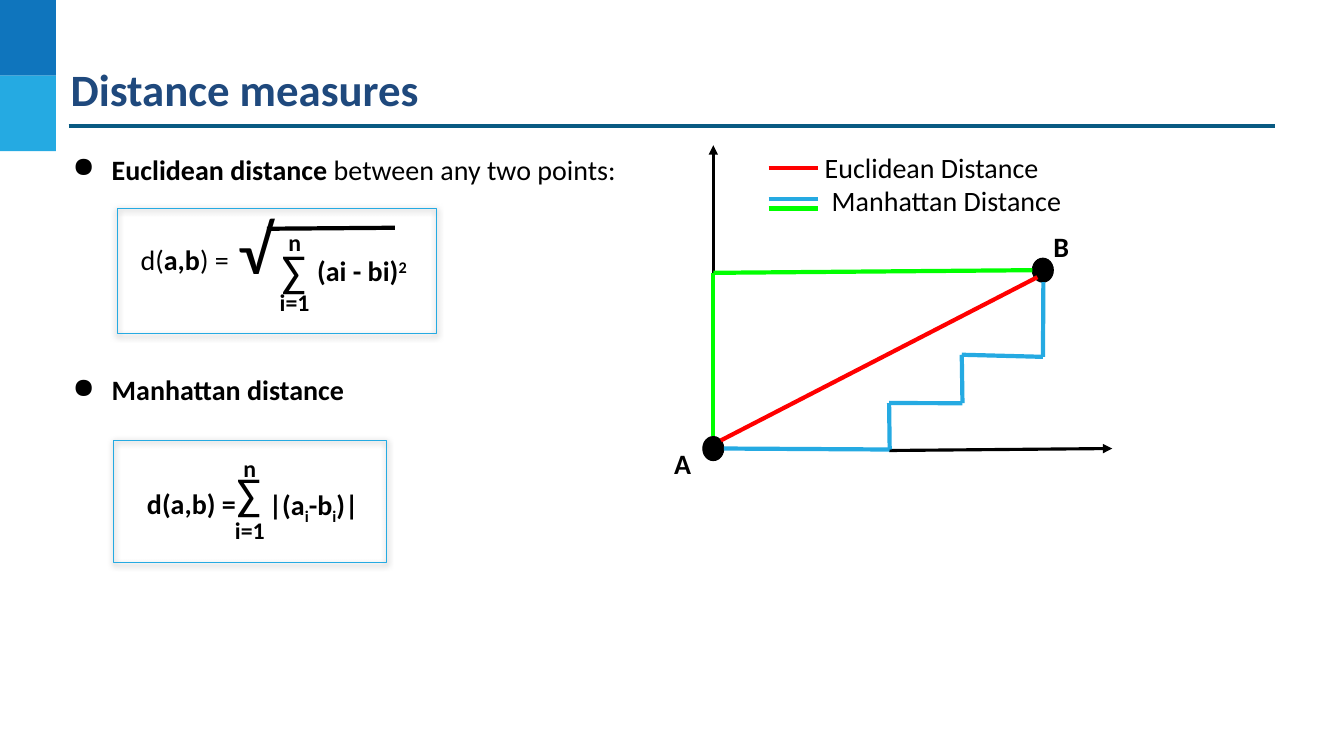
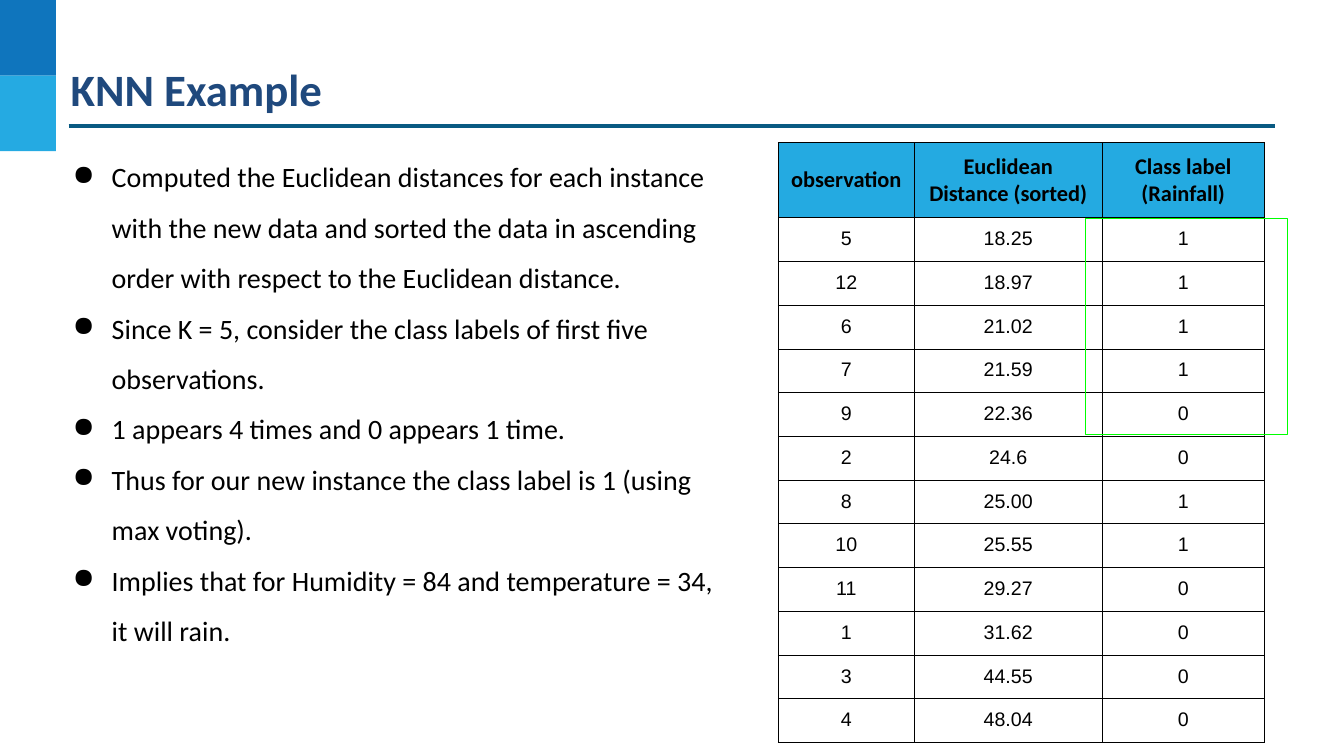
from lxml import etree
from pptx import Presentation
from pptx.dml.color import RGBColor
from pptx.enum.shapes import MSO_CONNECTOR, MSO_SHAPE
from pptx.enum.text import MSO_ANCHOR, PP_ALIGN
from pptx.oxml.ns import qn
from pptx.util import Pt

RECT, OVAL = MSO_SHAPE.RECTANGLE, MSO_SHAPE.OVAL
STRAIGHT = MSO_CONNECTOR.STRAIGHT
LEFT, CENTER = PP_ALIGN.LEFT, PP_ALIGN.CENTER
MIDDLE, TOP = MSO_ANCHOR.MIDDLE, MSO_ANCHOR.TOP

BLACK = RGBColor(0x00, 0x00, 0x00)
NAVY = RGBColor(0x1F, 0x49, 0x7D)
BLUE = RGBColor(0x0F, 0x75, 0xBD)
SKY = RGBColor(0x25, 0xAA, 0xE2)
HEAD = RGBColor(0x24, 0xAA, 0xE1)
TEAL = RGBColor(0x09, 0x5A, 0x82)
RED = RGBColor(0xFF, 0x00, 0x00)
GREEN = RGBColor(0x00, 0xFF, 0x00)

INSET = 7.2
LABEL = 39  # height of a one-line label
ROWS = [
    ("5", "18.25", "1"), ("12", "18.97", "1"), ("6", "21.02", "1"),
    ("7", "21.59", "1"), ("9", "22.36", "0"), ("2", "24.6", "0"),
    ("8", "25.00", "1"), ("10", "25.55", "1"), ("11", "29.27", "0"),
    ("1", "31.62", "0"), ("3", "44.55", "0"), ("4", "48.04", "0"),
]


# Basic parts
def sub(node, tag, **attrs):
    return etree.SubElement(node, qn(tag), attrs)


def shape(slide, kind, box, fill=None, line=None):
    item = slide.shapes.add_shape(kind, *map(Pt, box))
    item.shadow.inherit = False
    if fill is None:
        item.fill.background()
    else:
        item.fill.solid()
        item.fill.fore_color.rgb = fill
    if line is None:
        item.line.fill.background()
    else:
        item.line.color.rgb = line
        item.line.width = Pt(0.75)
    return item


def line(slide, start, end, color, width=3, arrow=False):
    item = slide.shapes.add_connector(STRAIGHT, *map(Pt, (*start, *end)))
    item.line.color.rgb = color
    item.line.width = Pt(width)
    if arrow:
        sub(item.line._get_or_add_ln(), "a:tailEnd", type="triangle")
    sub(item._element.spPr, "a:effectLst")
    return item


def write(para, runs, size, color=BLACK, font="Calibri"):
    """Each run is (text, bold) or (text, bold, baseline in percent)."""
    for words, bold, *base in runs:
        run = para.add_run()
        run.text = words
        run.font.name = font
        run.font.size = Pt(size)
        run.font.bold = bold
        run.font.color.rgb = color
        if base:
            run.font._element.set("baseline", str(base[0] * 1000))


def margins(item, inset):
    item.margin_left = item.margin_right = Pt(inset)
    item.margin_top = item.margin_bottom = Pt(inset)


def text(slide, box, paras, size=20, color=BLACK, align=LEFT,
         inset=INSET, space=None):
    frame = slide.shapes.add_textbox(*map(Pt, box)).text_frame
    frame.word_wrap = True
    margins(frame, inset)
    for i, runs in enumerate(paras):
        para = frame.add_paragraph() if i else frame.paragraphs[0]
        para.alignment = align
        para.line_spacing = space
        write(para, runs, size, color)
    return frame


def bullets(slide, box, paras, space, gap=0):
    frame = text(slide, box, paras, space=space)
    for i, para in enumerate(frame.paragraphs):
        para.space_before = Pt(gap if i else 0)
        props = para._p.get_or_add_pPr()
        props.set("marL", str(Pt(36)))
        props.set("indent", str(Pt(-28)))
        tint = sub(props, "a:buClr")
        sub(tint, "a:srgbClr", val=str(BLACK))
        sub(props, "a:buChar", char="●")


# Shared page: corner bands, rule and title
def page(deck, title):
    slide = deck.slides.add_slide(deck.slide_layouts[6])
    for i, color in enumerate((BLUE, SKY)):
        shape(slide, RECT, (0, i * 54, 40, 54), color)
    line(slide, (49, 90), (911, 90), TEAL, 2.25)
    text(slide, (49, 42.5, 885, 60), [[(title, True)]], 32, NAVY, inset=1.4)
    return slide


# Formulas
def panel(slide, box):
    item = shape(slide, RECT, box, line=SKY)
    effects = item._element.spPr.find(qn("a:effectLst"))
    shade = sub(effects, "a:outerShdw", blurRad=str(Pt(4.5)),
                dist=str(Pt(1.5)), dir="5400000", algn="bl",
                rotWithShape="0")
    tint = sub(shade, "a:srgbClr", val=str(BLACK))
    sub(tint, "a:alpha", val="49000")


def total(slide, x, y, above, below):
    for sign, shift in (("n", -above), ("i=1", below)):
        text(slide, (x - 3, y + shift, 39, 35), [[(sign, True)]], 17,
             align=CENTER)
    text(slide, (x, y, 35, 53), [[("∑", False)]], 32)


def euclid(slide, box):
    x, y = box[:2]
    total(slide, x + 110, y + 17.3, 10.8, 31.7)
    line(slide, (x + 106.6, y + 14.4), (x + 198, y + 13.7), BLACK)
    text(slide, (x + 79, y - 9.3, 35, 74), [[("√", False)]], 49)
    text(slide, (x + 135.4, y + 25.2, 107, LABEL),
         [[("(ai - bi)", True), ("2", True, 30)]])
    text(slide, (x + 9.4, y + 17.3, 92, LABEL),
         [[("d(", False), ("a,b", True), (") =", False)]])
    panel(slide, box)


def blocks(slide, box):
    x, y = box[:2]
    total(slide, x + 80.6, y + 10.8, 8.6, 36)
    text(slide, (x + 103.6, y + 22.4, 98, LABEL),
         [[("|(a", True), ("i", True, -25), ("-b", True),
           ("i", True, -25), (")|", True)]], space=1.15)
    text(slide, (x + 16.5, y + 22.4, 82, LABEL), [[("d(a,b) =", True)]],
         space=1.15)
    panel(slide, box)


# Chart of the two distances, measured from point A
def plot(slide, x, y):
    def at(dx, dy):
        return x + dx, y + dy

    def chain(color, *points):
        return [line(slide, at(*a), at(*b), color)
                for a, b in zip(points, points[1:])]

    dots = []
    for name, spot, tag in (("A", (0, 0), (-35, -8.6)),
                            ("B", (235.4, -127.4), (235.8, -163.4))):
        left, top = at(*spot)
        dots.append(shape(slide, OVAL, (left - 7.5, top - 8.6, 15, 17.2),
                          BLACK, BLACK))
        text(slide, (*at(*tag), 30, LABEL), [[(name, True)]])

    axis = line(slide, at(0, -8.6), at(0, -216.7), BLACK, 2.25, True)
    line(slide, at(125.6, 1.4), at(285, 0), BLACK, 2.25, True)
    chain(RED, (5.4, -5.8), (231.5, -122.4))
    side = chain(GREEN, (0, -8.6), (0, -125.5), (228, -127.4))[0]
    for item in (axis, side):
        item.begin_connect(dots[0], 0)
    chain(SKY, (7.6, 0), (126, 0.7), (125.6, -32.5), (178, -32.4),
          (177.5, -67), (235.5, -65.5), (235.8, -118.8))


def legend(slide, x, y):
    frame = text(slide, (x + 33, y, 226, 87),
                 [[("Euclidean Distance", False)],
                  [("Manhattan Distance", False)]])
    frame.paragraphs[1]._p.get_or_add_pPr().set("marL", str(Pt(5)))
    for drop, color in ((20, RED), (49, GREEN), (42, SKY)):
        line(slide, (x, y + drop), (x + 35, y + drop), color)


# Table of sorted distances
def fill_cell(cell, lines, head):
    margins(cell, INSET)
    cell.vertical_anchor = MIDDLE if head else TOP
    frame = cell.text_frame
    for i, words in enumerate(lines):
        para = frame.add_paragraph() if i else frame.paragraphs[0]
        para.alignment = CENTER
        write(para, [(words, head)], 16 if head else 14,
              font="Calibri" if head else "Arial")
    props = cell._tc.get_or_add_tcPr()
    for edge in ("a:lnL", "a:lnR", "a:lnT", "a:lnB"):
        rule = sub(props, edge, w=str(Pt(0.75)))
        sub(sub(rule, "a:solidFill"), "a:srgbClr", val=str(BLACK))
    if head:
        cell.fill.solid()
        cell.fill.fore_color.rgb = HEAD
    else:
        cell.fill.background()


def ranks(slide, x, y):
    widths, tall, row = (97.2, 134, 116), 53.6, 30.24
    heads = (["observation"], ["Euclidean Distance (sorted)"],
             ["Class label", "(Rainfall)"])
    grid = slide.shapes.add_table(
        len(ROWS) + 1, len(widths), Pt(x), Pt(y), Pt(sum(widths)),
        Pt(tall + row * len(ROWS))).table
    grid.horz_banding = False
    for col, width in zip(grid.columns, widths):
        col.width = Pt(width)
    for r, band in enumerate(grid.rows):
        band.height = Pt(row if r else tall)
        for c in range(len(widths)):
            lines = [ROWS[r - 1][c]] if r else heads[c]
            fill_cell(grid.cell(r, c), lines, r == 0)


# Slides
def measures(deck):
    slide = page(deck, "Distance measures")
    plot(slide, 509.5, 320.4)
    legend(slide, 549, 100)
    bullets(slide, (36.7, 98, 489, 191),
            [[("Euclidean distance", True),
              (" between any two points:", False)],
             [("Manhattan distance", True)]], 1.15, gap=130)
    euclid(slide, (84, 149, 228, 89))
    blocks(slide, (81.4, 314.6, 195, 87))


def example(deck):
    slide = page(deck, "KNN Example")
    ranks(slide, 556, 102)
    points = (
        "Computed the Euclidean distances for each instance with the new "
        "data and sorted the data in ascending order with respect to the "
        "Euclidean distance.",
        "Since K = 5, consider the class labels of first five observations.",
        "1 appears 4 times and 0 appears 1 time.",
        "Thus for our new instance the class label is 1 (using max voting).",
        "Implies that for Humidity = 84 and temperature = 34, it will rain.",
    )
    bullets(slide, (36.7, 95, 489, 366),
            [[(point, False)] for point in points], 1.5)
    shape(slide, RECT, (775.5, 156, 144.5, 154.5), line=GREEN)


def main():
    deck = Presentation()
    deck.slide_width, deck.slide_height = Pt(960), Pt(540)
    measures(deck)
    example(deck)
    deck.save("out.pptx")


if __name__ == "__main__":
    main()
